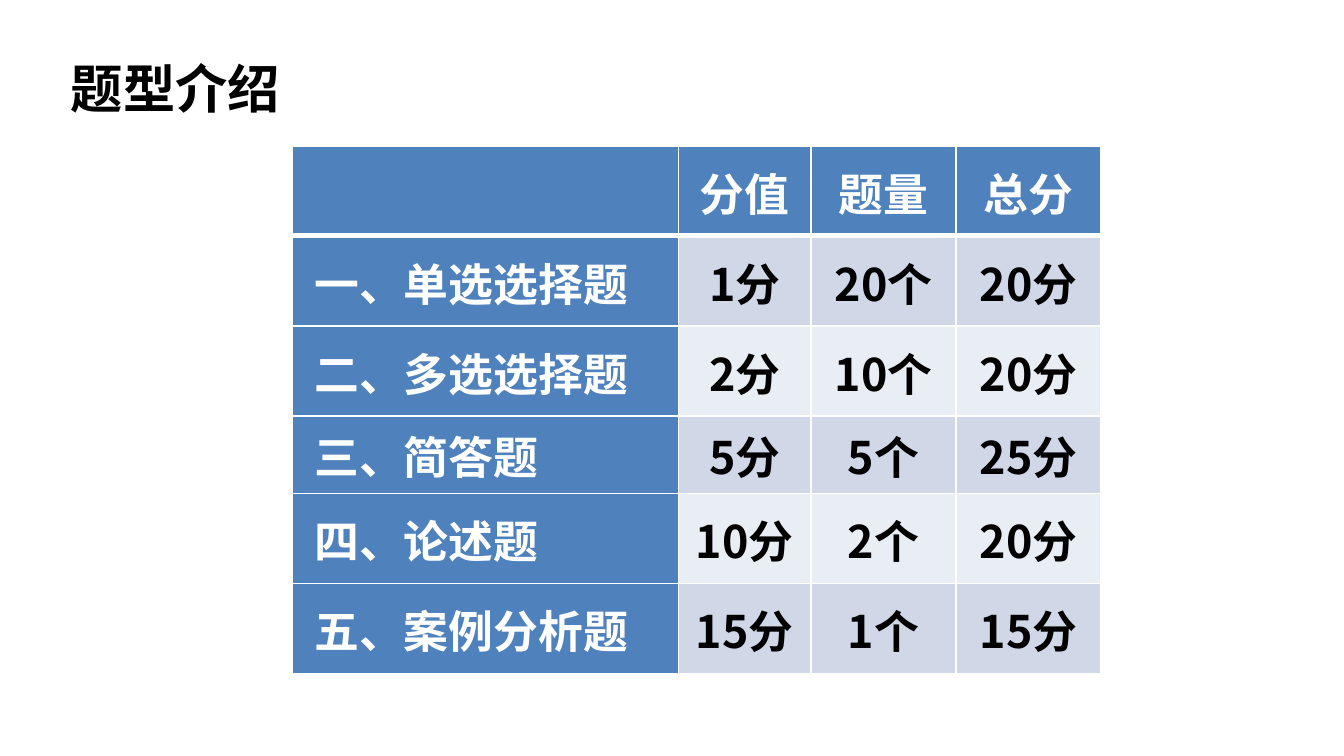
from lxml.etree import SubElement
from pptx import Presentation
from pptx.dml.color import RGBColor
from pptx.enum.text import MSO_ANCHOR, MSO_AUTO_SIZE, PP_ALIGN
from pptx.oxml.ns import qn
from pptx.util import Cm, Pt

FONT = "Noto Sans CJK SC"
WHITE, BLACK, BLUE = "FFFFFF", "000000", "4F81BD"
BANDS = ["D0D8E8", "E9EDF4"]
COLUMN_WIDTHS = [7.29, 2.51, 2.74, 2.74]
ROW_HEIGHTS = [1.7, 1.7, 1.7, 1.47, 1.7, 1.7]
QUESTION_TYPES = [
    ["", "分值", "题量", "总分"],
    ["一、单选选择题", "1分", "20个", "20分"],
    ["二、多选选择题", "2分", "10个", "20分"],
    ["三、简答题", "5分", "5个", "25分"],
    ["四、论述题", "10分", "2个", "20分"],
    ["五、案例分析题", "15分", "1个", "15分"],
]


def rgb(value):
    return RGBColor.from_string(value)


def set_attrs(obj, values):
    for name, value in values.items():
        setattr(obj, name, value)


def write(tf, text, size, color, align=PP_ALIGN.LEFT):
    p = tf.paragraphs[0]
    p.alignment = align
    r = p.add_run()
    r.text = text
    set_attrs(r.font, {"name": FONT, "size": Pt(size), "bold": True})
    r.font.color.rgb = rgb(color)
    SubElement(r.font._element, qn("a:ea"), typeface=FONT)


def add_borders(cell, bottom):
    tcPr = cell._tc.get_or_add_tcPr()
    for side, width in {"L": 1, "R": 1, "T": 1, "B": bottom}.items():
        ln = SubElement(tcPr, qn(f"a:ln{side}"), w=str(Pt(width)))
        fill = SubElement(ln, qn("a:solidFill"))
        SubElement(fill, qn("a:srgbClr"), val=WHITE)


def add_title(slide, left, top, width, height):
    sp = slide.shapes.add_textbox(Cm(left), Cm(top), Cm(width), Cm(height))
    tf = sp.text_frame
    set_attrs(tf, {"word_wrap": False, "auto_size": MSO_AUTO_SIZE.SHAPE_TO_FIT_TEXT})
    write(tf, "题型介绍", 28, BLACK)


def fill_cell(cell, text, row, col):
    is_header, is_label = row == 0, col == 0
    add_borders(cell, bottom=3 if is_header else 1)
    cell.fill.solid()
    cell.fill.fore_color.rgb = rgb(BLUE if is_header or is_label else BANDS[(row - 1) % 2])
    set_attrs(cell, {
        "vertical_anchor": MSO_ANCHOR.MIDDLE,
        "margin_left": Cm(0.41 if is_label else 0.03),
        "margin_right": Cm(0.03),
        "margin_top": Cm(0.03),
        "margin_bottom": Cm(0),
    })
    if text:
        write(cell.text_frame, text, 24,
              WHITE if is_header or is_label else BLACK,
              PP_ALIGN.LEFT if is_label else PP_ALIGN.CENTER)


def add_question_table(slide, left, top, width, height):
    frame = slide.shapes.add_table(len(ROW_HEIGHTS), len(COLUMN_WIDTHS),
                                   Cm(left), Cm(top), Cm(width), Cm(height))
    table = frame.table
    # Column and row sizes
    for column, size in zip(table.columns, COLUMN_WIDTHS):
        column.width = Cm(size)
    for table_row, size in zip(table.rows, ROW_HEIGHTS):
        table_row.height = Cm(size)
    # Cells
    for row, texts in enumerate(QUESTION_TYPES):
        for col, text in enumerate(texts):
            fill_cell(table.cell(row, col), text, row, col)


def main():
    prs = Presentation()
    set_attrs(prs, {"slide_width": Cm(25.4), "slide_height": Cm(14.29)})
    slide = prs.slides.add_slide(prs.slide_layouts[6])
    add_title(slide, 1.09, 0.94, 4.5, 1.45)
    add_question_table(slide, 5.53, 2.76, sum(COLUMN_WIDTHS), sum(ROW_HEIGHTS))
    prs.save("out.pptx")


if __name__ == "__main__":
    main()
